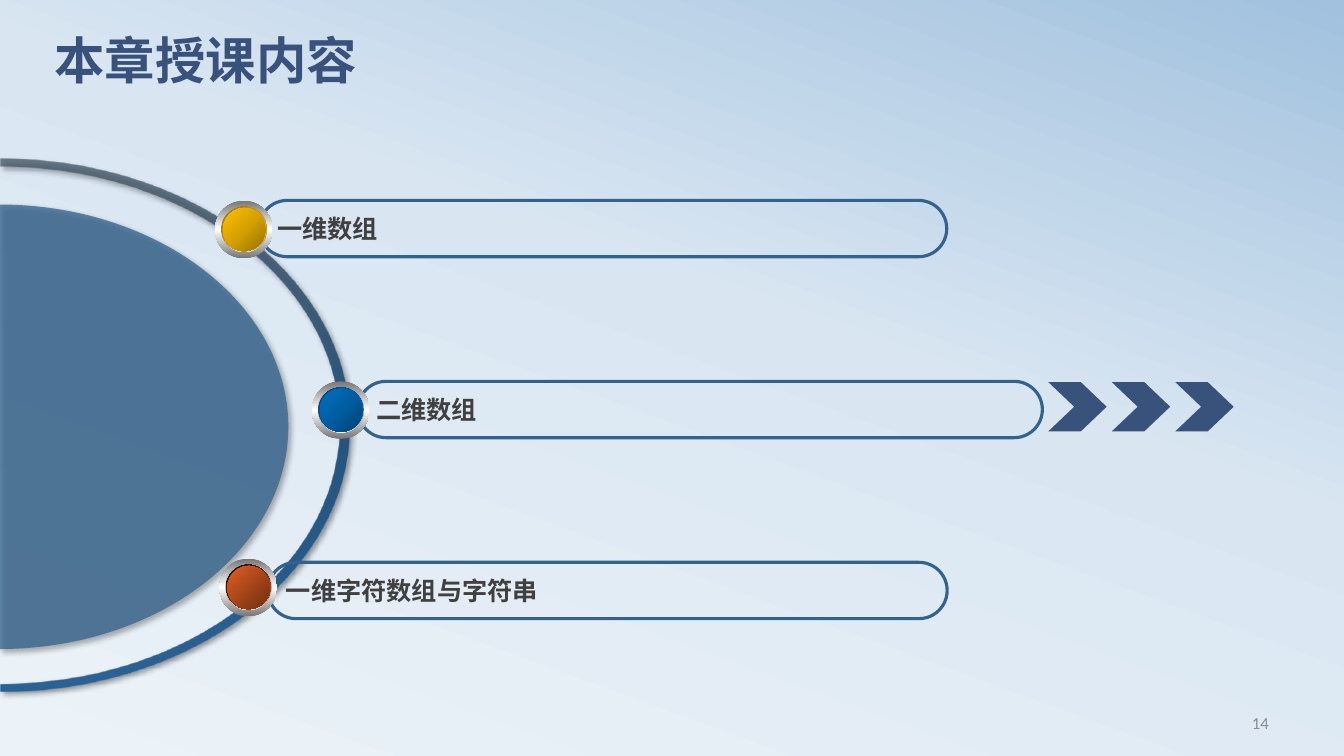
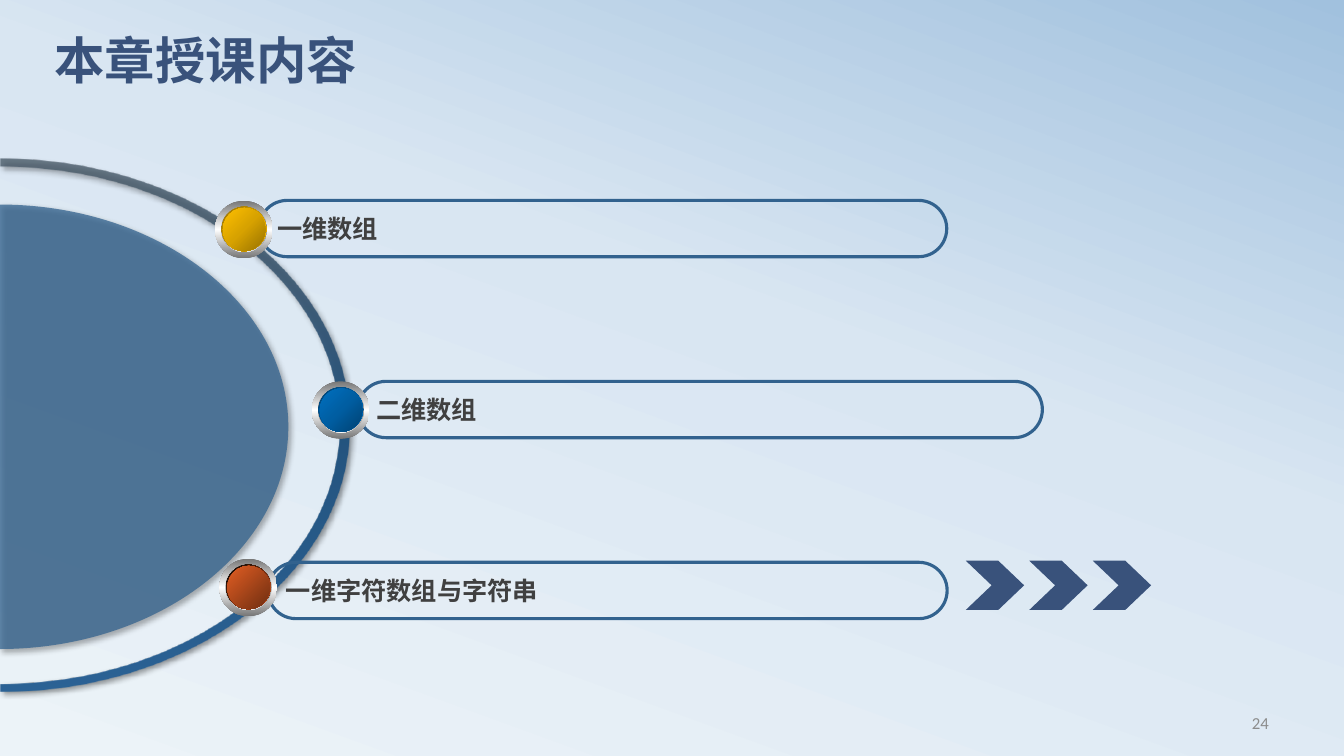
from dataclasses import dataclass

from lxml.etree import SubElement
from pptx import Presentation
from pptx.dml.color import RGBColor
from pptx.enum.shapes import MSO_SHAPE as Preset
from pptx.enum.text import MSO_ANCHOR as Anchor, MSO_AUTO_SIZE as AutoSize, PP_ALIGN as Align
from pptx.oxml.ns import qn
from pptx.util import Cm, Pt

# Shared look
NAVY, BLUE, TEXT_GREY, NUMBER_GREY = "39527B", "32628E", "404040", "8C8C8C"
LATIN_FONT, CHINESE_FONT = "Calibri", "Noto Sans CJK SC"
BACKGROUND = [(0, "ECF3F8"), (58, "D9E6F2"), (100, "A1C1DE")]
RING_STOPS = [(0, "445462", 75), (50, "24537D"), (100, "2B6295")]
RIM_STOPS = [(0, "767676"), (50, "FFFFFF"), (100, "767676")]
BEVEL_STOPS = [(0, "A2A2A2"), (50, "FFFFFF"), (100, "A2A2A2")]
YELLOW_STOPS = [(0, "977200"), (50, "D7A200"), (100, "FFC000")]
BLUE_STOPS = [(0, "004272"), (50, "005EA2"), (100, "0070C0")]
ORANGE_EDGE = [(0, "000000"), (100, "E35E23")]
ORANGE_FACE = [(0, "E35E23"), (100, "6E2E11")]
PILL_HEIGHT = 1.42
CURVE = 0.55  # control point distance of a quarter ellipse


@dataclass
class Topic:
    title: str
    left: float
    top: float
    width: float
    knob_left: float
    knob_top: float
    edge_stops: list
    face_stops: list
    face_angle: int | None = None  # None makes the face gradient radial


FIRST = Topic("一维数组", 6.53, 5.05, 17.33, 5.42, 5.06, YELLOW_STOPS, YELLOW_STOPS)
SECOND = Topic("二维数组", 9.02, 9.61, 17.25, 7.86, 9.61, BLUE_STOPS, BLUE_STOPS)
THIRD = Topic("一维字符数组与字符串", 6.75, 14.17, 17.12, 5.53, 14.08, ORANGE_EDGE, ORANGE_FACE, 45)


def colour(value):
    return RGBColor.from_string(value)


def add_alpha(colour_element, percent):
    SubElement(colour_element, qn("a:alpha"), val=str(percent * 1000))


def fill_gradient(owner, fill, stops, angle):
    """Fill with stops along an angle, or from the lower right corner for None."""
    fill.gradient()
    gradient = owner.element.xpath(".//a:gradFill")[0]
    for child in list(gradient):
        gradient.remove(child)
    stop_list = SubElement(gradient, qn("a:gsLst"))
    for position, value, *alpha in stops:
        stop = SubElement(stop_list, qn("a:gs"), pos=str(position * 1000))
        stop_colour = SubElement(stop, qn("a:srgbClr"), val=value)
        if alpha:
            add_alpha(stop_colour, alpha[0])
    if angle is None:
        radial = SubElement(gradient, qn("a:path"), {"path": "circle"})
        SubElement(radial, qn("a:fillToRect"), l="100000", t="100000")
    else:
        SubElement(gradient, qn("a:lin"), ang=str(angle * 60000), scaled="0")


def add_shadow(shape):
    shape.shadow.inherit = False
    effects = shape.element.spPr.find(qn("a:effectLst"))
    shadow = SubElement(effects, qn("a:outerShdw"), blurRad=str(Pt(4)), dist=str(Pt(3)),
                        dir=str(45 * 60000), algn="tl", rotWithShape="0")
    add_alpha(SubElement(shadow, qn("a:srgbClr"), val="000000"), 40)


def add_preset(shapes, preset, left, top, width, height):
    shape = shapes.add_shape(preset, Cm(left), Cm(top), Cm(width), Cm(height))
    shape.shadow.inherit = False
    shape.line.fill.background()
    return shape


def write_run(paragraph, text, size, value, font=LATIN_FONT, bold=False):
    run = paragraph.add_run()
    run.text = text
    run.font.name, run.font.size, run.font.bold = font, Pt(size), bold
    run.font.color.rgb = colour(value)
    SubElement(run.font._element, qn("a:ea"), typeface=CHINESE_FONT)


# Title and page number
def place_title(slide, text, left, top, width, height):
    title = slide.shapes.title
    title.left, title.top, title.width, title.height = map(Cm, (left, top, width, height))
    frame = title.text_frame
    frame.auto_size, frame.vertical_anchor = AutoSize.NONE, Anchor.TOP
    paragraph = frame.paragraphs[0]
    paragraph.alignment, paragraph.line_spacing = Align.LEFT, 0.8
    write_run(paragraph, text, 36, NAVY, bold=True)


def place_page_number(slide, number, left, top, width, height):
    box = slide.shapes.add_textbox(Cm(left), Cm(top), Cm(width), Cm(height))
    frame = box.text_frame
    frame.word_wrap, frame.vertical_anchor = True, Anchor.MIDDLE
    paragraph = frame.paragraphs[0]
    paragraph.alignment = Align.RIGHT
    write_run(paragraph, str(number), 12, NUMBER_GREY)


# Half disc and ring: arches turned a quarter to the right
def arch(middle, base, radius_x, radius_y, direction=1):
    """Start point and two curves of an arch; direction -1 runs from right to left."""
    reach_x, reach_y = direction * radius_x, base - radius_y
    bend_x, bend_y = reach_x * CURVE, base - radius_y * CURVE
    start, end = (middle - reach_x, base), (middle + reach_x, base)
    rise = [(middle - reach_x, bend_y), (middle - bend_x, reach_y), (middle, reach_y)]
    fall = [(middle + bend_x, reach_y), (middle + reach_x, bend_y), end]
    return start, [("cubicBezTo", rise), ("cubicBezTo", fall)]


def draw_outline(slide, left, top, width, height, start, commands):
    builder = slide.shapes.build_freeform(0, 0, scale=1.0)
    builder.add_line_segments([(Cm(width), 0), (Cm(width), Cm(height)), (0, Cm(height))])
    shape = builder.convert_to_shape(Cm(left), Cm(top))
    outline = shape.element.xpath(".//a:pathLst/a:path")[0]
    for child in list(outline):
        outline.remove(child)
    for name, points in [("moveTo", [start]), *commands, ("close", [])]:
        command = SubElement(outline, qn(f"a:{name}"))
        for x, y in points:
            SubElement(command, qn("a:pt"), x=str(Cm(x)), y=str(Cm(y)))
    shape.rotation = 90
    shape.line.fill.background()
    add_shadow(shape)
    return shape


def draw_ring(slide, left, top, width, height):
    middle, base = width / 2, 8.8
    start, inner = arch(middle, base, 6.5, 8.54)
    outer_start, outer = arch(middle, base, middle, base, -1)
    commands = inner + [("lnTo", [outer_start])] + outer
    ring = draw_outline(slide, left, top, width, height, start, commands)
    fill_gradient(ring, ring.fill, RING_STOPS, 0)


def draw_half_disc(slide, left, top, width, height):
    start, curves = arch(width / 2, height / 2, width / 2, height / 2)
    disc = draw_outline(slide, left, top, width, height, start, curves)
    disc.fill.solid()
    disc.fill.fore_color.rgb = colour(BLUE)
    add_alpha(disc.element.xpath("./p:spPr/a:solidFill/a:srgbClr")[0], 75)


# Topic pills, knobs and the arrows of the current topic
def draw_pill(slide, topic):
    pill = add_preset(slide.shapes, Preset.ROUNDED_RECTANGLE,
                      topic.left, topic.top, topic.width, PILL_HEIGHT)
    pill.adjustments[0] = 0.5
    pill.fill.background()
    pill.line.color.rgb = colour(BLUE)
    pill.line.width = Pt(2.25)
    frame = pill.text_frame
    frame.word_wrap, frame.vertical_anchor = False, Anchor.MIDDLE
    paragraph = frame.paragraphs[0]
    paragraph.alignment = Align.LEFT
    write_run(paragraph, topic.title, 18, TEXT_GREY, CHINESE_FONT, True)


def draw_knob(slide, topic):
    knob = slide.shapes.add_group_shape()
    layers = [
        (0, 0, 1.45, 1.45, RIM_STOPS, 90),
        (0.15, 0.15, 1.17, 1.14, BEVEL_STOPS, 0),
        (0.17, 0.15, 1.12, 1.12, topic.edge_stops, 45),
        (0.2, 0.18, 1.07, 1.09, topic.face_stops, topic.face_angle),
    ]
    for shift_x, shift_y, width, height, stops, angle in layers:
        layer = add_preset(knob.shapes, Preset.OVAL, topic.knob_left + shift_x,
                           topic.knob_top + shift_y, width, height)
        fill_gradient(layer, layer.fill, stops, angle)


def draw_arrows(slide, left, top):
    arrows = slide.shapes.add_group_shape()
    for index in range(3):
        arrow = add_preset(arrows.shapes, Preset.CHEVRON, left + 1.6 * index, top, 1.47, 1.24)
        arrow.adjustments[0] = 0.525
        arrow.fill.solid()
        arrow.fill.fore_color.rgb = colour(NAVY)


def build_contents_slide(presentation, number, arrows_left, arrows_top):
    slide = presentation.slides.add_slide(presentation.slide_layouts[5])
    place_page_number(slide, number, 24.33, 17.7, 7.9, 1.02)
    place_title(slide, "本章授课内容", 1.12, 0.91, 30.48, 2.39)
    draw_ring(slide, -6.83, 1.78, 13.41, 17.86)
    draw_half_disc(slide, -5.61, 3.48, 11.2, 14.55)
    for topic in (THIRD, SECOND, FIRST):
        draw_pill(slide, topic)
    draw_knob(slide, THIRD)
    draw_arrows(slide, arrows_left, arrows_top)
    draw_knob(slide, FIRST)
    draw_knob(slide, SECOND)


presentation = Presentation()
presentation.slide_width, presentation.slide_height = Cm(33.87), Cm(19.05)
master = presentation.slide_master
fill_gradient(master, master.background.fill, BACKGROUND, 290)
build_contents_slide(presentation, 14, 26.42, 9.63)
build_contents_slide(presentation, 24, 24.34, 14.13)
presentation.save("out.pptx")
